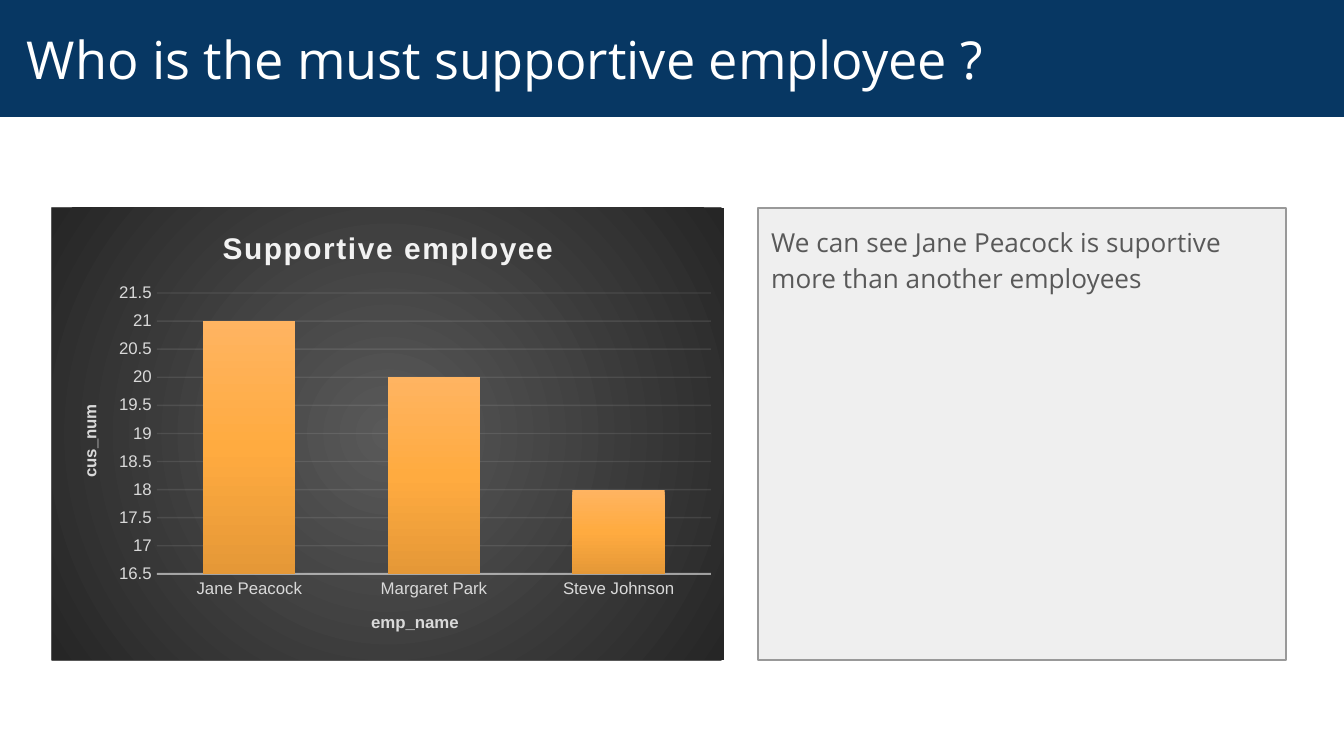
import dataclasses

import pptx
import pptx.chart.data
import pptx.dml.color
import pptx.enum.chart
import pptx.enum.shapes
import pptx.enum.text
import pptx.oxml
import pptx.oxml.ns
import pptx.util

SCALE = 914400 / 134.4  # EMU in one pixel


def px(length):
    return pptx.util.Emu(round(length * SCALE))


def rgb(color):
    return pptx.dml.color.RGBColor.from_string(color)


@dataclasses.dataclass(frozen=True)
class Theme:
    font: str = "Open Sans"
    chart_font: str = "Arial"
    navy: str = "073763"
    white: str = "FFFFFF"
    panel: str = "EFEFEF"
    panel_line: str = "999999"
    gray: str = "595959"
    chart_title: str = "F2F2F2"
    chart_text: str = "D9D9D9"
    backdrop: tuple = ((0, "595959"), (100, "262626"))
    columns: tuple = ((0, "FFB461"), (50, "FFAB40"), (100, "E59837"))
    title_size: int = 28
    body_size: int = 14
    chart_title_size: int = 16
    axis_size: int = 9


def write(frame, text, font, size, color, bold=False, spacing=None):
    """Put one formatted paragraph in a text frame and return it."""
    para = frame.paragraphs[0]
    span = para.add_run()
    span.text = text
    span.font.name = font
    span.font.size = pptx.util.Pt(size)
    span.font.bold = bold
    span.font.color.rgb = rgb(color)
    if spacing:
        span.font._element.set("spc", str(spacing))
    return para


def gradient(stops, shade):
    marks = "".join(
        f'<a:gs pos="{place * 1000}"><a:srgbClr val="{color}"/></a:gs>'
        for place, color in stops)
    return pptx.oxml.parse_xml(
        f'<a:gradFill {pptx.oxml.ns.nsdecls("a")} rotWithShape="1">'
        f'<a:gsLst>{marks}</a:gsLst>{shade}</a:gradFill>')


def style_line(line, color, width, opacity):
    line.color.rgb = rgb(color)
    line.width = pptx.util.Pt(width)
    tint = line._ln.find(".//" + pptx.oxml.ns.qn("a:srgbClr"))
    alpha = tint.makeelement(pptx.oxml.ns.qn("a:alpha"), {"val": str(opacity * 1000)})
    tint.append(alpha)


class SlideBuilder:
    def __init__(self, deck, theme):
        self.theme = theme
        self.page = deck.slides.add_slide(deck.slide_layouts[5])

    def title(self, text, left, top, width, height, indent):
        box = self.page.shapes.title
        box.left, box.top, box.width, box.height = map(px, (left, top, width, height))
        box.fill.solid()
        box.fill.fore_color.rgb = rgb(self.theme.navy)
        frame = box.text_frame
        frame.auto_size = pptx.enum.text.MSO_AUTO_SIZE.NONE
        frame.vertical_anchor = pptx.enum.text.MSO_ANCHOR.MIDDLE
        frame.margin_left = px(indent)
        para = write(frame, text, self.theme.font, self.theme.title_size, self.theme.white)
        para.alignment = pptx.enum.text.PP_ALIGN.LEFT

    def panel(self, left, top, width, height, line, text=None):
        box = self.page.shapes.add_shape(
            pptx.enum.shapes.MSO_SHAPE.RECTANGLE, *map(px, (left, top, width, height)))
        box.shadow.inherit = False
        box.fill.solid()
        box.fill.fore_color.rgb = rgb(self.theme.panel)
        box.line.color.rgb = rgb(line)
        box.line.width = pptx.util.Pt(0.75)
        if text:
            frame = box.text_frame
            frame.word_wrap = True
            frame.vertical_anchor = pptx.enum.text.MSO_ANCHOR.TOP
            frame.margin_left = frame.margin_right = pptx.util.Inches(0.1)
            frame.margin_top = frame.margin_bottom = pptx.util.Inches(0.1)
            para = write(frame, text, self.theme.font, self.theme.body_size, self.theme.gray)
            para.alignment = pptx.enum.text.PP_ALIGN.LEFT
            para.line_spacing = 1.15
            para.space_after = pptx.util.Pt(16)

    def column_chart(self, left, top, width, height, title, names, values,
                     category_title, value_title, plot):
        theme = self.theme
        data = pptx.chart.data.CategoryChartData()
        data.categories = names
        data.add_series("Series 1", values)
        chart = self.page.shapes.add_chart(
            pptx.enum.chart.XL_CHART_TYPE.COLUMN_CLUSTERED,
            *map(px, (left, top, width, height)), data).chart
        chart.has_legend = False
        chart.font.name = theme.chart_font
        chart.font.size = pptx.util.Pt(10)
        chart.has_title = True
        write(chart.chart_title.text_frame, title, theme.chart_font,
              theme.chart_title_size, theme.chart_title, bold=True, spacing=100)
        chart.chart_title.include_in_layout = False

        # Axes
        for axis, name in ((chart.category_axis, category_title),
                           (chart.value_axis, value_title)):
            write(axis.axis_title.text_frame, name, theme.chart_font,
                  theme.axis_size, theme.chart_text, bold=True)
            axis.major_tick_mark = pptx.enum.chart.XL_TICK_MARK.NONE
            axis.minor_tick_mark = pptx.enum.chart.XL_TICK_MARK.NONE
            font = axis.tick_labels.font
            font.name = theme.chart_font
            font.size = pptx.util.Pt(theme.axis_size)
            font.color.rgb = rgb(theme.chart_text)
        style_line(chart.category_axis.format.line, theme.chart_title, 1, 54)
        scale = chart.value_axis
        scale.minimum_scale, scale.maximum_scale, scale.major_unit = 16.5, 21.5, 0.5
        scale.format.line.fill.background()
        style_line(scale.major_gridlines.format.line, theme.chart_title, 0.75, 10)

        # Columns
        columns = chart.plots[0]
        columns.vary_by_categories = False
        columns.gap_width = 100
        columns.overlap = -24
        series = columns.series[0]
        series.invert_if_negative = False
        series.format.fill.solid()
        properties = series._element.spPr
        properties.replace(properties.find(pptx.oxml.ns.qn("a:solidFill")),
                           gradient(theme.columns, '<a:lin ang="5400000" scaled="0"/>'))

        # Chart backdrop
        backdrop = pptx.oxml.parse_xml(
            f'<c:spPr {pptx.oxml.ns.nsdecls("c", "a")}><a:ln><a:noFill/></a:ln></c:spPr>')
        backdrop.insert(0, gradient(
            theme.backdrop, '<a:path path="circle">'
            '<a:fillToRect l="50000" t="50000" r="50000" b="50000"/></a:path>'))
        body = chart._chartSpace.find(pptx.oxml.ns.qn("c:chart"))
        body.addnext(backdrop)

        # Plot area position, as shares of the chart
        area = body.find(pptx.oxml.ns.qn("c:plotArea"))
        for layout in area.findall(pptx.oxml.ns.qn("c:layout")):
            area.remove(layout)
        shares = (plot[0] / width, plot[1] / height, plot[2] / width, plot[3] / height)
        marks = "".join(f'<c:{key} val="{share:.4f}"/>' for key, share in zip("xywh", shares))
        area.insert(0, pptx.oxml.parse_xml(
            f'<c:layout {pptx.oxml.ns.nsdecls("c")}><c:manualLayout>'
            '<c:layoutTarget val="inner"/><c:xMode val="edge"/><c:yMode val="edge"/>'
            f'{marks}</c:manualLayout></c:layout>'))


deck = pptx.Presentation()
deck.slide_width, deck.slide_height = px(1344), px(756)
theme = Theme()
slide = SlideBuilder(deck, theme)

# Heading
slide.title("Who is the must supportive employee ?", 0, 0, 1344, 117, indent=27)

# Comment and chart panels
top, height = 208, 452
slide.panel(758, top, 528, height, theme.panel_line,
            text="We can see Jane Peacock is suportive more than another employees")
slide.panel(52, top, 669, height, theme.gray)
slide.column_chart(
    52, top, 672, height, "Supportive employee",
    ("Jane Peacock", "Margaret Park", "Steve Johnson"), (21, 20, 18),
    category_title="emp_name", value_title="cus_num", plot=(105, 85, 554, 281))

deck.save("out.pptx")
